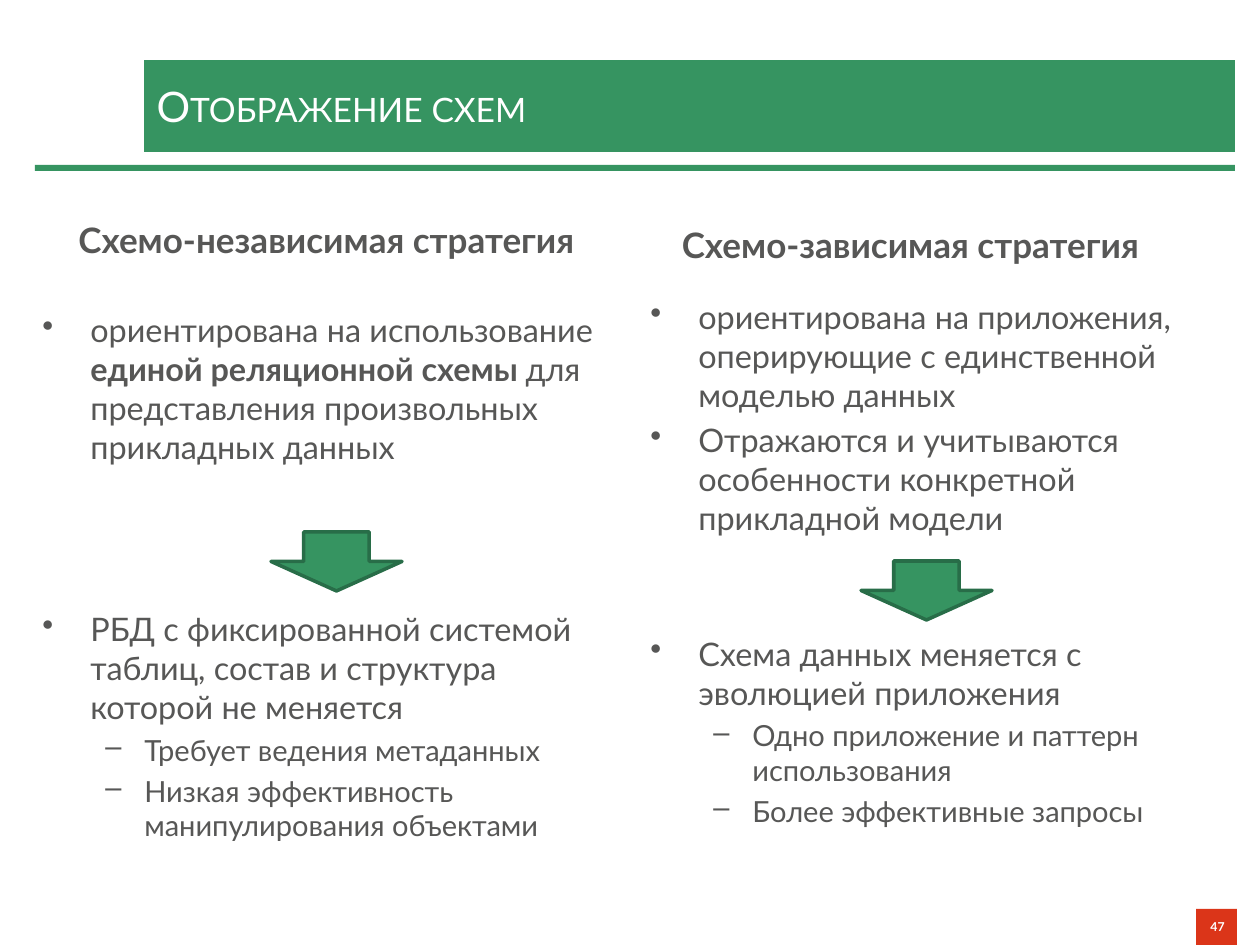
"""Build the slide that compares two schema mapping strategies."""
from dataclasses import dataclass

from lxml import etree
from pptx import Presentation
from pptx.dml.color import RGBColor
from pptx.enum.shapes import MSO_SHAPE
from pptx.enum.text import MSO_ANCHOR, PP_ALIGN
from pptx.oxml.ns import qn
from pptx.util import Emu, Pt

RECT, ARROW = MSO_SHAPE.RECTANGLE, MSO_SHAPE.DOWN_ARROW
LEFT, MID, RIGHT = PP_ALIGN.LEFT, PP_ALIGN.CENTER, PP_ALIGN.RIGHT
CENTER = MSO_ANCHOR.MIDDLE
SCALE = 914400 / 126
GREEN, DARK, RED, GREY, WHITE = "369461", "286D48", "DB3519", "575756", "FFFFFF"
FONT = "Lato"
LEVELS = [("•", 48, -48, 18.5), ("–", 102, -39, 16.6)]


@dataclass
class Box:
    """A place on the slide in px."""
    left: int
    top: int
    width: int
    height: int


@dataclass
class Item:
    """A bullet; every second part between bars is bold."""
    text: str
    level: int = 0
    gap: float = 3.5


@dataclass
class Column:
    """One strategy with its heading, bullets and arrow."""
    name: str
    head: Box
    body: Box
    arrow: Box
    items: list[Item]


COLUMNS = [
    Column("Схемо-независимая стратегия", Box(38, 212, 577, 92),
           Box(30, 304, 577, 575), Box(271, 532, 131, 59), [
        Item("ориентирована на использование |единой реляционной схемы |"
             "для представления произвольных прикладных данных", gap=0),
        Item("РБД с фиксированной системой таблиц, состав и структура "
             "которой не меняется", gap=82),
        Item("Требует ведения метаданных", 1),
        Item("Низкая эффективность манипулирования объектами", 1)]),
    Column("Схемо-зависимая стратегия", Box(622, 217, 577, 92),
           Box(638, 291, 577, 575), Box(861, 561, 131, 59), [
        Item("ориентирована на приложения, оперирующие с единственной "
             "моделью данных", gap=0),
        Item("Отражаются и учитываются особенности конкретной "
             "прикладной модели"),
        Item("Схема данных меняется с эволюцией приложения", gap=55.5),
        Item("Одно приложение и паттерн использования", 1),
        Item("Более эффективные запросы", 1)]),
]


def px(size: int) -> Emu:
    """Turn px into EMU."""
    return Emu(round(size * SCALE))


def color(code: str) -> RGBColor:
    """Turn a hex string into a colour."""
    return RGBColor.from_string(code)


def place(box: Box) -> tuple[Emu, ...]:
    """Give left, top, width and height in EMU."""
    return px(box.left), px(box.top), px(box.width), px(box.height)


def fill(shape, code: str) -> None:
    """Fill a shape with one colour."""
    shape.fill.solid()
    shape.fill.fore_color.rgb = color(code)


def style(run, size: float, code: str, bold: bool = False) -> None:
    """Set the font of a run."""
    run.font.name, run.font.size, run.font.bold = FONT, Pt(size), bold
    run.font.color.rgb = color(code)


def write(shape, text: str, align, size: float, code: str,
          bold: bool = False) -> None:
    """Put one line of text in a shape."""
    frame = shape.text_frame
    frame.word_wrap = True
    frame.text = text
    line = frame.paragraphs[0]
    line.alignment = align
    style(line.runs[0], size, code, bold)


def draw(slide, kind, box: Box, code: str, edge: str = ""):
    """Draw a filled shape, with an edge if a colour is given."""
    shape = slide.shapes.add_shape(kind, *place(box))
    shape.shadow.inherit = False
    fill(shape, code)
    if edge:
        shape.line.color.rgb = color(edge)
        shape.line.width = Pt(2)
    else:
        shape.line.fill.background()
    return shape


def add_item(line, item: Item) -> None:
    """Write one bullet into a paragraph."""
    mark, left, indent, size = LEVELS[item.level]
    props = line._p.get_or_add_pPr()
    props.set("marL", str(px(left)))
    props.set("indent", str(px(indent)))
    etree.SubElement(props, qn("a:buChar")).set("char", mark)
    line.level = item.level
    line.space_before = Pt(item.gap)
    for spot, part in enumerate(item.text.split("|")):
        run = line.add_run()
        run.text = part
        style(run, size, GREY, spot % 2 == 1)


def add_column(slide, col: Column) -> None:
    """Draw a heading, its bullets and the arrow."""
    head = slide.shapes.add_textbox(*place(col.head))
    write(head, col.name, MID, 20, GREY, True)
    frame = slide.shapes.add_textbox(*place(col.body)).text_frame
    frame.word_wrap = True
    for spot, item in enumerate(col.items):
        line = frame.add_paragraph() if spot else frame.paragraphs[0]
        add_item(line, item)
    draw(slide, ARROW, col.arrow, GREEN, DARK)


def add_title(slide, text: str, box: Box) -> None:
    """Turn the title placeholder into a green band."""
    title = slide.shapes.title
    title.left, title.top, title.width, title.height = place(box)
    fill(title, GREEN)
    write(title, text, LEFT, 24, WHITE)
    frame = title.text_frame
    frame.vertical_anchor = CENTER
    frame.margin_top = frame.margin_bottom = px(15)
    frame.paragraphs[0].runs[0].font._element.set("cap", "small")


def main() -> None:
    """Build and save the slide."""
    deck = Presentation()
    deck.slide_width, deck.slide_height = px(1260), px(945)
    slide = deck.slides.add_slide(deck.slide_layouts[5])
    add_title(slide, "Отображение схем", Box(144, 60, 1091, 92))
    draw(slide, RECT, Box(35, 165, 1200, 6), GREEN)
    page = draw(slide, RECT, Box(1196, 909, 41, 36), RED)
    write(page, "47", RIGHT, 7, WHITE, True)
    page.text_frame.vertical_anchor = CENTER
    for col in COLUMNS:
        add_column(slide, col)
    deck.save("out.pptx")


if __name__ == "__main__":
    main()
